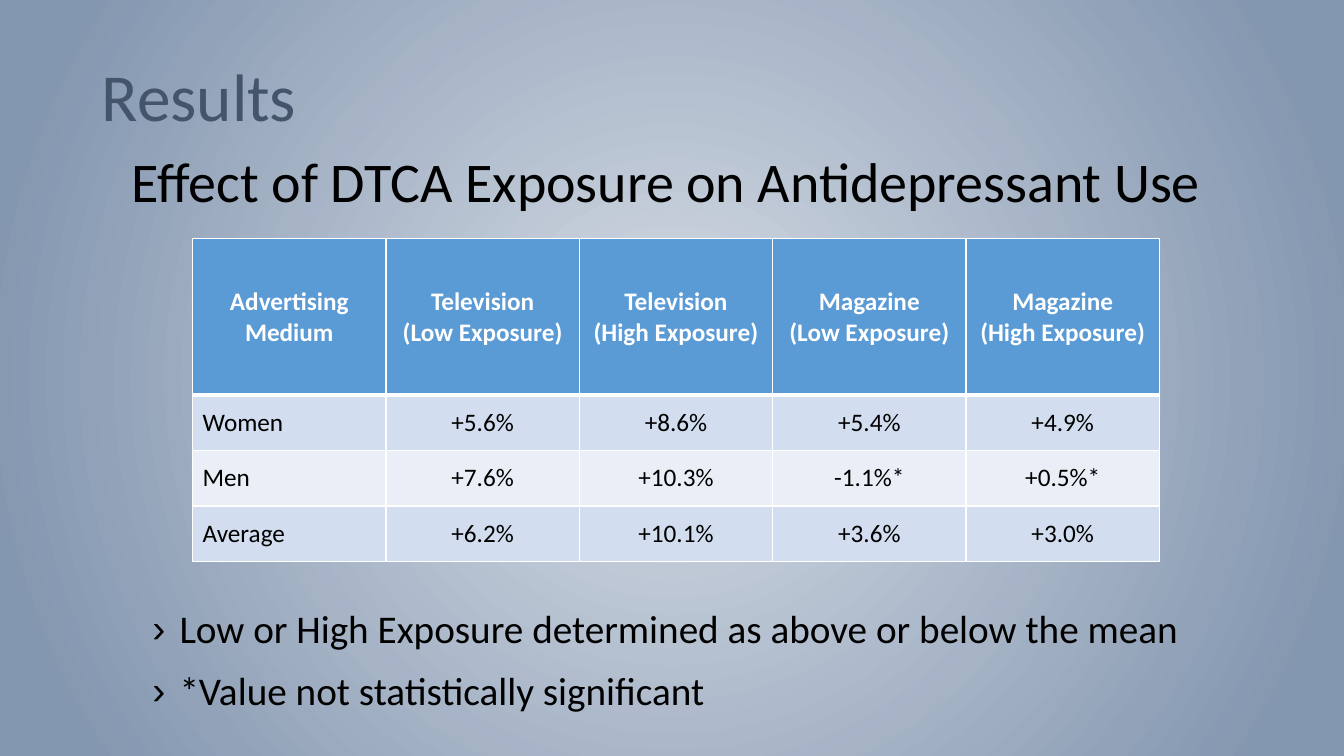
"""Build the results slide: exposure table, subtitle and two notes."""
from lxml import etree
from pptx import Presentation, util as u
from pptx.dml.color import RGBColor
from pptx.enum import text
from pptx.oxml import parse_xml
from pptx.oxml.ns import nsdecls, qn

COLORS = {"glow": "D6DCE5", "edge": "8497B0", "title": "44546A", "text": "000000",
          "header": "5B9BD5", "odd": "D2DEEF", "even": "EAEFF7", "white": "FFFFFF"}
ROWS = [
    ["Advertising Medium", "Television\n(Low Exposure)", "Television\n(High Exposure)",
     "Magazine\n(Low Exposure)", "Magazine\n(High Exposure)"],
    ["Women", "+5.6%", "+8.6%", "+5.4%", "+4.9%"],
    ["Men", "+7.6%", "+10.3%", "-1.1%*", "+0.5%*"],
    ["Average", "+6.2%", "+10.1%", "+3.6%", "+3.0%"],
]
NOTES = ["Low or High Exposure determined as above or below the mean",
         "*Value not statistically significant"]

presentation = Presentation()
presentation.slide_width = u.Inches(13.33)
presentation.slide_height = u.Inches(7.5)


def share(left, top, width, height):
    """Turn percentages of the slide into a box."""
    sides = (presentation.slide_width, presentation.slide_height) * 2
    return [u.Emu(int(side * part / 100)) for side, part in zip(sides, (left, top, width, height))]


def add_run(paragraph, words, size, color, bold=False):
    """Add one formatted run to a paragraph."""
    run = paragraph.add_run()
    run.text = words
    run.font.name = "Calibri"
    run.font.size = u.Pt(size)
    run.font.bold = bold
    run.font.color.rgb = RGBColor.from_string(COLORS[color])


slide = presentation.slides.add_slide(presentation.slide_layouts[1])
slide.element.cSld.insert(0, parse_xml(
    f'<p:bg {nsdecls("p", "a")}><p:bgPr><a:gradFill rotWithShape="1"><a:gsLst>'
    f'<a:gs pos="0"><a:srgbClr val="{COLORS["glow"]}"/></a:gs>'
    f'<a:gs pos="90000"><a:srgbClr val="{COLORS["edge"]}"/></a:gs></a:gsLst>'
    '<a:path path="circle"><a:fillToRect l="50000" t="50000" r="50000" b="50000"/></a:path>'
    '</a:gradFill><a:effectLst/></p:bgPr></p:bg>'))

title = slide.shapes.title
title.left, title.top, title.width, title.height = share(6.83, 0.53, 77.72, 18.13)
title.text_frame.auto_size = text.MSO_AUTO_SIZE.NONE
title.text_frame.vertical_anchor = text.MSO_ANCHOR.BOTTOM
paragraph = title.text_frame.paragraphs[0]
paragraph.alignment = text.PP_ALIGN.LEFT
paragraph.line_spacing = 0.9
add_run(paragraph, "Results", 48, "title")

body = slide.placeholders[1]
body.left, body.top, body.width, body.height = share(10.58, 80, 78.77, 28.93)
frame = body.text_frame
frame.auto_size = text.MSO_AUTO_SIZE.NONE
for index, note in enumerate(NOTES):
    paragraph = frame.add_paragraph() if index else frame.paragraphs[0]
    properties = paragraph._p.get_or_add_pPr()
    properties.set("marL", str(u.Inches(0.27)))
    properties.set("indent", str(-u.Inches(0.27)))
    etree.SubElement(properties, qn("a:buChar"), char="›")
    paragraph.line_spacing = 0.9
    paragraph.space_before = u.Pt(14 if index else 0)
    add_run(paragraph, note, 28, "text")

subtitle = slide.shapes.add_textbox(*share(9.08, 18.67, 81.92, 10.27))
subtitle.text_frame.word_wrap = True
subtitle.text_frame.auto_size = text.MSO_AUTO_SIZE.SHAPE_TO_FIT_TEXT
add_run(subtitle.text_frame.paragraphs[0],
        "Effect of DTCA Exposure on Antidepressant Use", 40, "text")

table = slide.shapes.add_table(len(ROWS), len(ROWS[0]), *share(14.33, 31.6, 71.94, 42.8)).table
for row_index, values in enumerate(ROWS):
    is_header = row_index == 0
    table.rows[row_index].height = u.Inches(1.55 if is_header else 0.55)
    for column_index, value in enumerate(values):
        cell = table.cell(row_index, column_index)
        cell.vertical_anchor = text.MSO_ANCHOR.MIDDLE
        for side in "LRTB":
            thick = (side, row_index) in (("B", 0), ("T", 1))
            border = etree.SubElement(cell._tc.get_or_add_tcPr(), qn(f"a:ln{side}"),
                                      w=str(u.Pt(3 if thick else 1)))
            fill = etree.SubElement(border, qn("a:solidFill"))
            etree.SubElement(fill, qn("a:srgbClr"), val=COLORS["white"])
        cell.fill.solid()
        shade = "header" if is_header else "odd" if row_index % 2 else "even"
        cell.fill.fore_color.rgb = RGBColor.from_string(COLORS[shade])
        centred = is_header or column_index > 0
        for line_index, line in enumerate(value.split("\n")):
            frame = cell.text_frame
            paragraph = frame.add_paragraph() if line_index else frame.paragraphs[0]
            paragraph.alignment = text.PP_ALIGN.CENTER if centred else text.PP_ALIGN.LEFT
            add_run(paragraph, line, 18, "white" if is_header else "text", is_header)

presentation.save("out.pptx")
